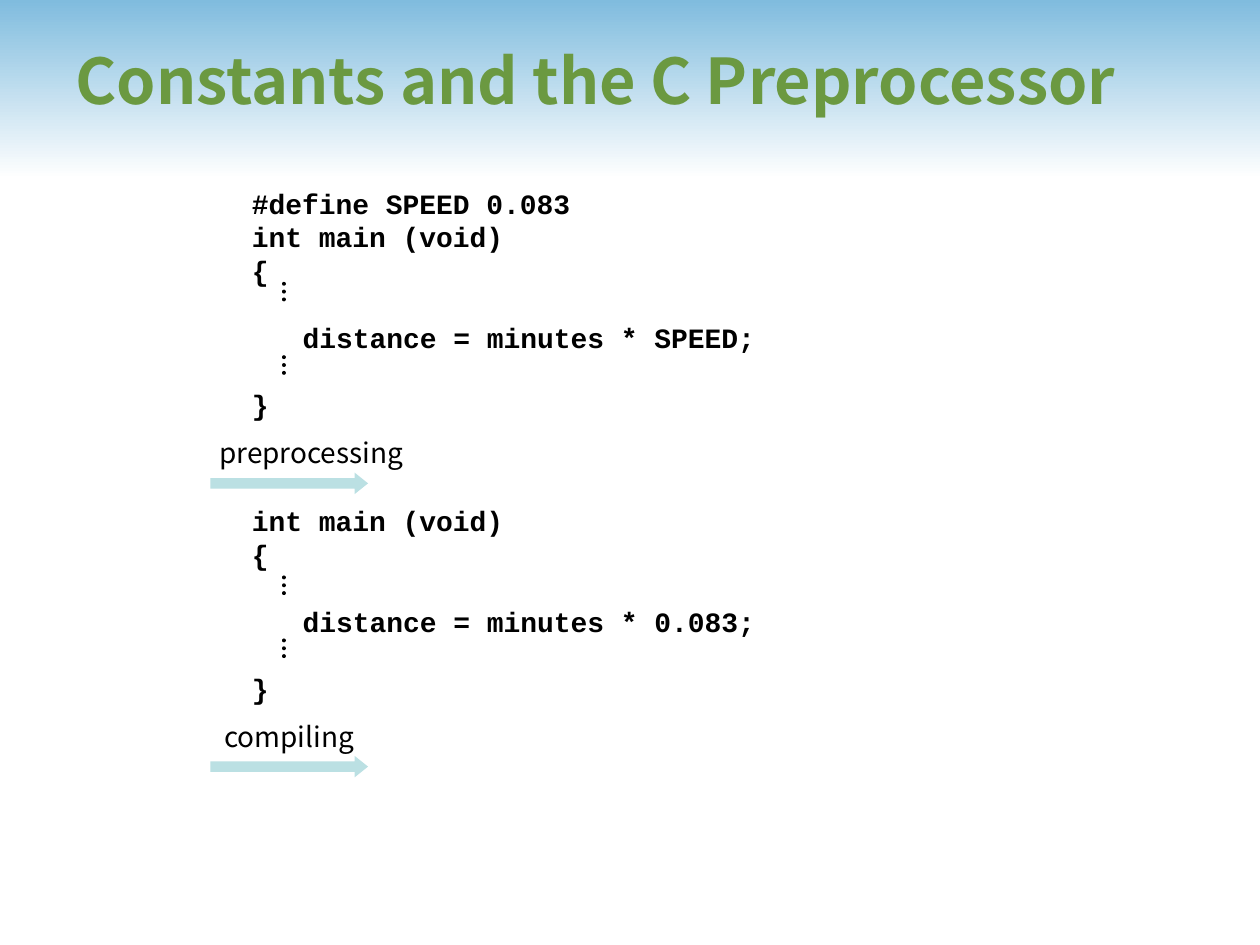
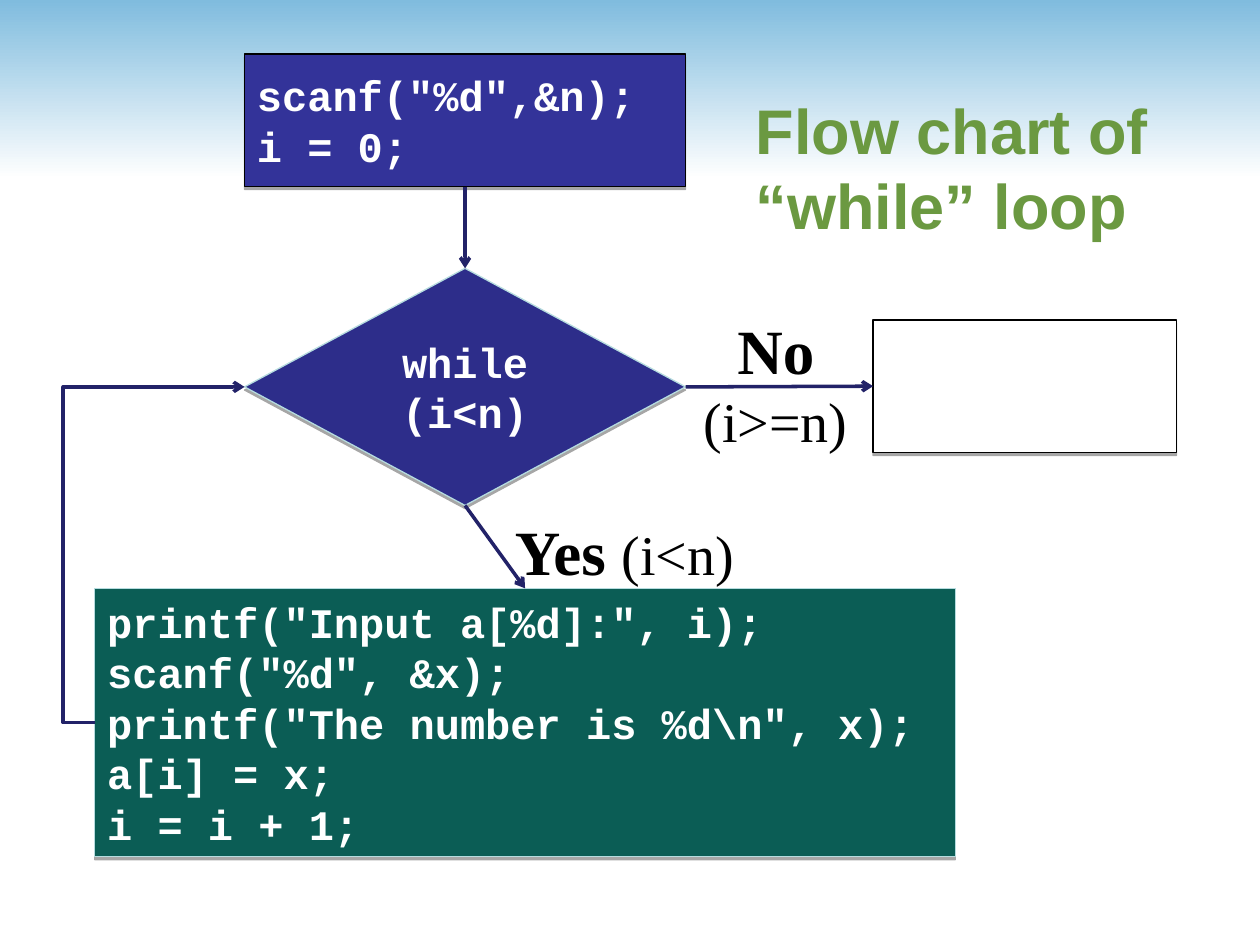
from dataclasses import dataclass

from lxml.etree import SubElement
from pptx import Presentation
from pptx.dml.color import RGBColor
from pptx.enum.dml import MSO_LINE
from pptx.enum.shapes import MSO_CONNECTOR, MSO_SHAPE
from pptx.enum.text import MSO_ANCHOR, PP_ALIGN
from pptx.oxml.ns import qn
from pptx.util import Cm, Pt

# Colours
BLACK = RGBColor(0x00, 0x00, 0x00)
WHITE = RGBColor(0xFF, 0xFF, 0xFF)
SKY = RGBColor(0x80, 0xBC, 0xDE)
GREEN = RGBColor(0x6B, 0x99, 0x41)
PALE = RGBColor(0xBB, 0xE0, 0xE3)
EDGE = RGBColor(0xB6, 0xDC, 0xDF)
BLUE = RGBColor(0x33, 0x33, 0x99)
NAVY = RGBColor(0x2D, 0x2D, 0x8A)
TEAL = RGBColor(0x0B, 0x5D, 0x55)
INK = RGBColor(0x22, 0x22, 0x68)

# Fonts
SANS = "Noto Sans CJK TC"
MONO = "Courier New"
SERIF = "Times New Roman"


def style(name: str, size: float, color: RGBColor, bold: bool = False) -> dict:
    return {"name": name, "size": Pt(size), "bold": bold, "color": color}


HEAD = style(SANS, 36, GREEN, True)
LOOP = style("Arial", 36, GREEN, True)
CODE = style(MONO, 16, BLACK, True)
STEP = style(MONO, 24, WHITE, True)
NOTE = style(SANS, 16, BLACK)
WORD = style(SERIF, 36, BLACK, True)
TEST = style(SERIF, 32, BLACK)
LEAD = 1.2  # line pitch as a multiple of the font size


@dataclass(frozen=True)
class Box:
    left: float
    top: float
    width: float
    height: float

    def frame(self) -> tuple:
        return tuple(Cm(v) for v in (self.left, self.top, self.width, self.height))


@dataclass(frozen=True)
class Row:
    runs: tuple  # pairs of text and style
    gap: float = 0  # points before the row
    indent: float = 0  # cm
    lead: float = 0  # exact line pitch in points


@dataclass(frozen=True)
class Node:
    kind: MSO_SHAPE
    box: Box
    fill: RGBColor
    line: RGBColor
    text: tuple = ()
    centre: bool = False


@dataclass(frozen=True)
class Stage:
    code: Box
    rows: list
    dots: tuple  # tops of the dotted lines
    note: Box
    name: str
    arrow: float  # top of the block arrow


def rows_of(lines: tuple, look: dict) -> list[Row]:
    lead = look["size"].pt * LEAD
    return [Row(((line, look),), lead=lead) for line in lines]


def write(frame, rows: list, anchor=MSO_ANCHOR.TOP, align=PP_ALIGN.LEFT) -> None:
    frame.word_wrap = True
    frame.vertical_anchor = anchor
    for i, row in enumerate(rows):
        para = frame.paragraphs[0] if i == 0 else frame.add_paragraph()
        para.alignment = align
        if row.gap:
            para.space_before = Pt(row.gap)
        if row.lead:
            para.line_spacing = Pt(row.lead)
        if row.indent:
            props = para._p.get_or_add_pPr()
            props.set("marL", str(int(Cm(row.indent))))
            props.set("indent", "0")
        for text, look in row.runs:
            run = para.add_run()
            run.text = text
            for key, value in look.items():
                if key == "color":
                    run.font.color.rgb = value
                else:
                    setattr(run.font, key, value)


def label(slide, box: Box, rows: list, **place):
    frame = slide.shapes.add_textbox(*box.frame()).text_frame
    write(frame, rows, **place)
    return frame


def solid(slide, kind, box: Box, fill: RGBColor):
    shape = slide.shapes.add_shape(kind, *box.frame())
    shape.shadow.inherit = False
    shape.fill.solid()
    shape.fill.fore_color.rgb = fill
    shape.line.fill.background()
    return shape


def link(slide, color: RGBColor, width: float, kind=MSO_CONNECTOR.STRAIGHT,
         ends: tuple = (0, 0, 0, 0)):
    line = slide.shapes.add_connector(kind, *(Cm(v) for v in ends))
    line.line.color.rgb = color
    line.line.width = Pt(width)
    SubElement(line._element.spPr, qn("a:effectLst"))
    return line


def join(slide, start, out: int, end, into: int, kind=MSO_CONNECTOR.STRAIGHT):
    line = link(slide, INK, 2, kind)
    line.begin_connect(start, out)
    line.end_connect(end, into)
    SubElement(line.line._get_or_add_ln(), qn("a:tailEnd"), type="arrow")
    return line


def draw_node(slide, node: Node):
    shape = solid(slide, node.kind, node.box, node.fill)
    shape.line.color.rgb = node.line
    shape.line.width = Pt(0.75)
    # Thin shadow straight below
    effect = shape._element.spPr.find(qn("a:effectLst"))
    shadow = SubElement(effect, qn("a:outerShdw"), blurRad="0", dist="23000",
                        dir="5400000", rotWithShape="0")
    tint = SubElement(shadow, qn("a:srgbClr"), val=str(BLACK))
    SubElement(tint, qn("a:alpha"), val="35000")
    frame = shape.text_frame
    if node.centre:
        frame.margin_left = frame.margin_right = 0
    if node.text:
        write(frame, rows_of(node.text, STEP), MSO_ANCHOR.MIDDLE,
              PP_ALIGN.CENTER if node.centre else PP_ALIGN.LEFT)
    return shape


def new_slide(deck, box: Box, title: Row):
    slide = deck.slides.add_slide(deck.slide_layouts[6])
    # Fading band behind the title
    band = solid(slide, MSO_SHAPE.RECTANGLE, Box(0, 0, 25.4, 3.61), SKY)
    band.fill.gradient()
    band.fill.gradient_angle = 270
    for stop, color in zip(band.fill.gradient_stops, (SKY, WHITE)):
        stop.color.rgb = color
    label(slide, box, [title], anchor=MSO_ANCHOR.MIDDLE)
    return slide


def code_rows(start: tuple, factor: str) -> list[Row]:
    pitch = CODE["size"].pt * LEAD
    tail = (
        Row(((f"distance = minutes * {factor};", CODE),), pitch, 1.02, pitch),
        Row((("}", CODE),), pitch, lead=pitch),
    )
    return [*rows_of((*start, "int main (void)", "{"), CODE), *tail]


STAGES = (
    Stage(Box(4.83, 3.63, 10.97, 5), code_rows(("#define SPEED 0.083",), "SPEED"),
          (5.72, 7.2), Box(4.17, 8.66, 4.29, 0.94), "preprocessing", 9.53),
    Stage(Box(4.83, 10.03, 10.97, 4.32), code_rows((), "0.083"),
          (11.64, 12.91), Box(4.27, 14.38, 3.12, 0.94), "compiling", 15.24),
)

NODES = {
    "init": Node(MSO_SHAPE.RECTANGLE, Box(4.93, 1.09, 8.89, 2.67), BLUE, BLACK,
                 ('scanf("%d",&n);', "i = 0;")),
    "test": Node(MSO_SHAPE.DIAMOND, Box(4.93, 5.41, 8.89, 4.78), NAVY, EDGE,
                 ("while (i<n)",), True),
    "body": Node(MSO_SHAPE.RECTANGLE, Box(1.91, 11.86, 17.35, 5.41), TEAL, EDGE,
                 ('printf("Input a[%d]:", i);', 'scanf("%d", &x);',
                  'printf("The number is %d\\n", x);', "a[i] = x;", "i = i + 1;")),
    "exit": Node(MSO_SHAPE.RECTANGLE, Box(17.6, 6.45, 6.12, 2.67), WHITE, BLACK),
}


def draw_stages(deck) -> None:
    title = Row((("Constants and the C Preprocessor", HEAD),))
    slide = new_slide(deck, Box(1.27, 0, 23.06, 3.18), title)
    for stage in STAGES:
        label(slide, stage.code, stage.rows)
        # Dotted lines for left-out code
        for top in stage.dots:
            dots = link(slide, BLACK, 2.25, ends=(5.72, top, 5.72, top + 0.42))
            dots.line.dash_style = MSO_LINE.ROUND_DOT
            dots.line._get_or_add_ln().set("cap", "rnd")
        label(slide, stage.note, [Row(((stage.name, NOTE),))])
        arrow = solid(slide, MSO_SHAPE.RIGHT_ARROW,
                      Box(4.24, stage.arrow, 3.18, 0.43), PALE)
        arrow.adjustments[1] = 0.625


def draw_loop(deck) -> None:
    title = rows_of(("Flow chart of “while” loop",), LOOP)[0]
    slide = new_slide(deck, Box(14.99, 0.76, 9.14, 5.21), title)
    made = {name: draw_node(slide, node) for name, node in NODES.items()}

    # Flow arrows
    for start, out, end, into in (("init", 2, "test", 0), ("test", 2, "body", 0),
                                  ("test", 3, "exit", 1)):
        join(slide, made[start], out, made[end], into)
    back = join(slide, made["body"], 1, made["test"], 1, MSO_CONNECTOR.ELBOW)
    geom = back._element.spPr.find(qn("a:prstGeom"))
    guides = geom.find(qn("a:avLst"))
    if guides is None:
        guides = SubElement(geom, qn("a:avLst"))
    SubElement(guides, qn("a:gd"), name="adj1", fmla="val -21000")

    # Branch labels
    label(slide, Box(10.13, 10.21, 5.05, 1.78),
          [Row((("Yes ", WORD), ("(i<n)", TEST)))])
    frame = label(slide, Box(13.94, 6.15, 3.4, 3.15),
                  [Row((("No", WORD),)), Row((("(i>=n)", TEST),))],
                  align=PP_ALIGN.CENTER)
    frame.margin_left = frame.margin_right = 0


def main() -> None:
    deck = Presentation()
    deck.slide_width, deck.slide_height = Cm(25.4), Cm(19.05)
    draw_stages(deck)
    draw_loop(deck)
    deck.save("out.pptx")


if __name__ == "__main__":
    main()
